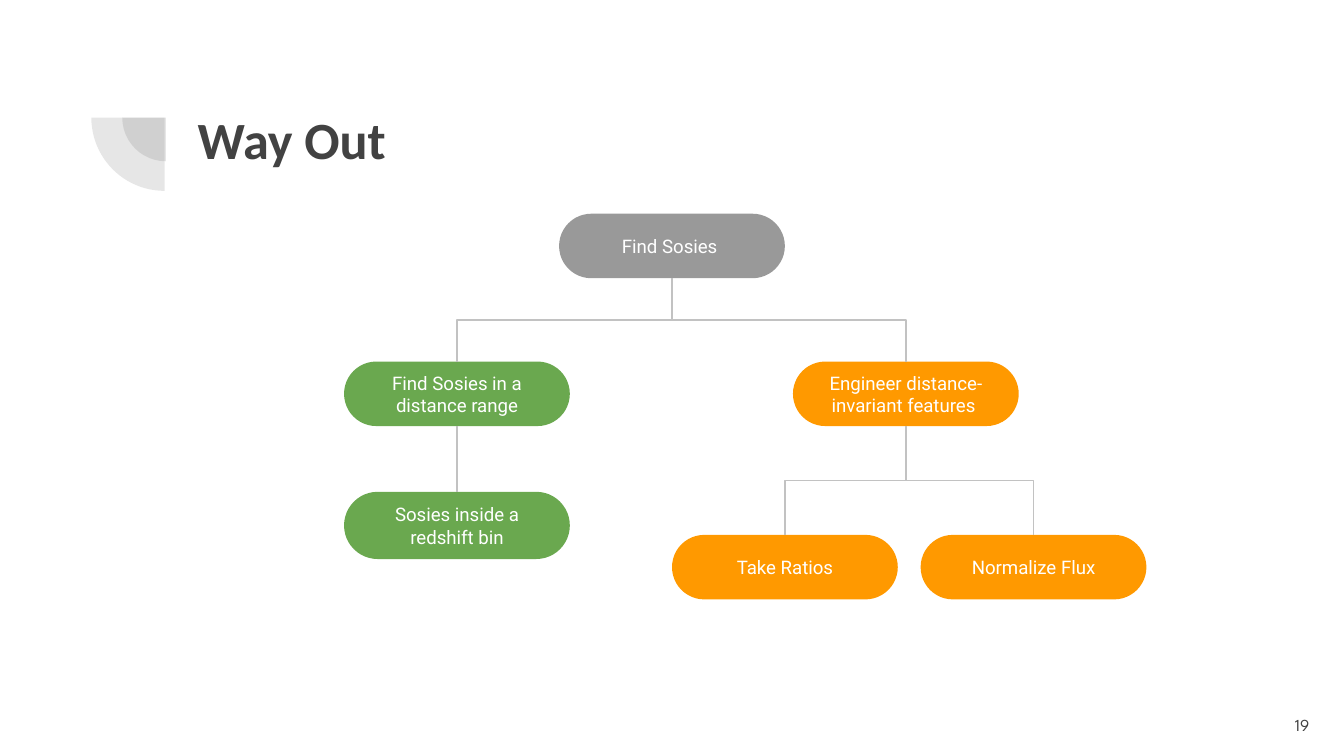
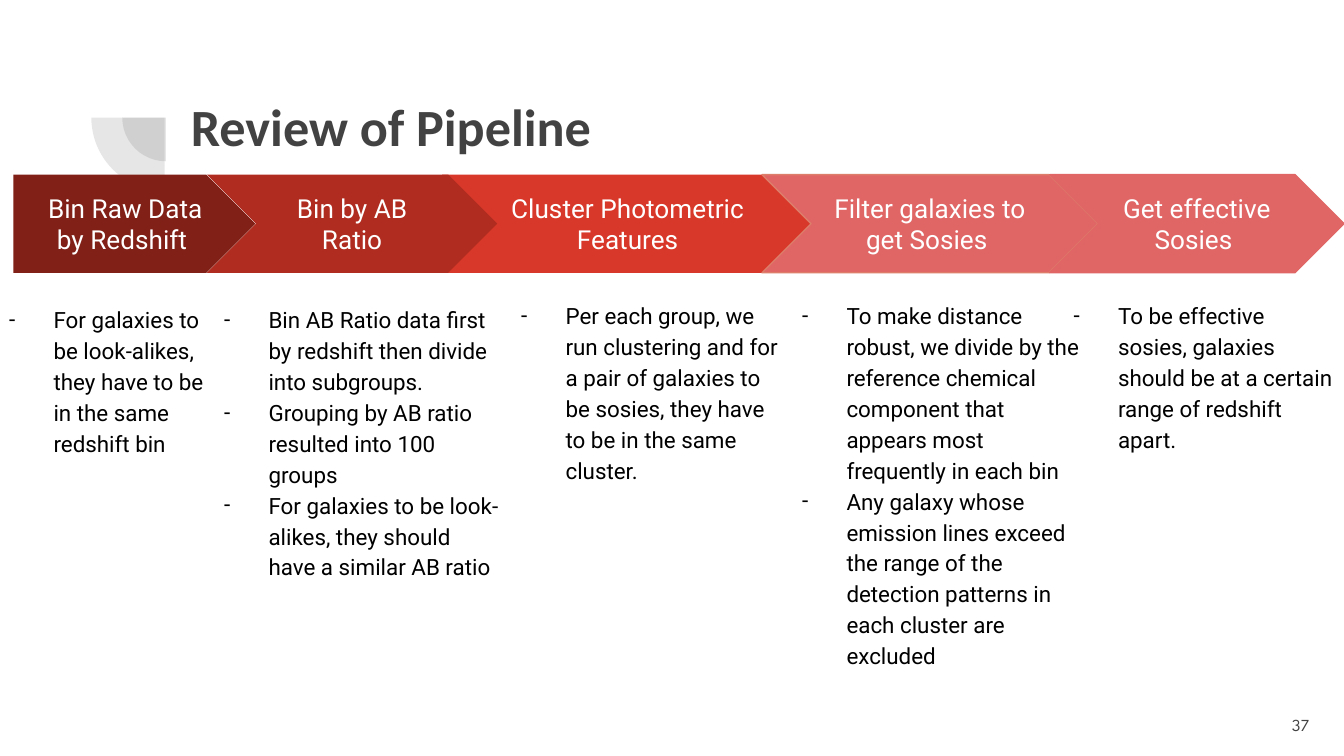
import dataclasses

import lxml.etree
import pptx
import pptx.dml.color
import pptx.enum.shapes
import pptx.enum.text
import pptx.oxml.ns
import pptx.util

Inches = pptx.util.Inches
Pt = pptx.util.Pt
SHAPE = pptx.enum.shapes.MSO_SHAPE
CONNECTOR = pptx.enum.shapes.MSO_CONNECTOR
ALIGN = pptx.enum.text.PP_ALIGN
ANCHOR = pptx.enum.text.MSO_ANCHOR
qn = pptx.oxml.ns.qn

DARK = "424242"
WHITE = "FFFFFF"
BLACK = "000000"
GRAY = "999999"
GREEN = "6AA84F"
ORANGE = "FF9900"
CONNECTOR_GRAY = "C2C2C2"
TITLE_FONT = "Calibri"
TEXT_FONT = "Roboto"
NUMBER_FONT = "League Spartan"

NODE_W = 1.68
NODE_H = 0.48
ARROW_TOP = 1.3
ARROW_H = 0.73


@dataclasses.dataclass(frozen=True)
class Node:
    key: str
    text: str
    left: float
    top: float
    fill: str
    parent: str = ""
    height: float = NODE_H


@dataclasses.dataclass(frozen=True)
class Stage:
    heading: str
    left: float
    width: float
    fill: str
    list_box: tuple[float, float, float, float]
    items: tuple[str, ...]
    line: str = ""
    shape: SHAPE = SHAPE.CHEVRON


NODES = [
    Node("sosies", "Find Sosies ", 4.16, 1.59, GRAY),
    Node("range", "Find Sosies in a distance range", 2.56, 2.69, GREEN, "sosies"),
    Node("engineer", "Engineer distance-invariant features ", 5.9, 2.69, ORANGE, "sosies"),
    Node("ratios", "Take Ratios", 5, 3.98, ORANGE, "engineer"),
    Node("flux", "Normalize Flux", 6.85, 3.98, ORANGE, "engineer"),
    Node("bin", "Sosies inside a redshift bin", 2.56, 3.66, GREEN, "range", 0.5),
]

STAGES = [
    Stage("Cluster Photometric Features", 3.29, 2.76, "D83829", (3.61, 2.12, 2.31, 2.86),
          ("Per each group, we run clustering and for a pair of galaxies to be sosies, "
           "they have to be in the same cluster.",)),
    Stage(" Bin Raw Data by Redshift", 0.1, 1.8, "802017", (-0.2, 2.15, 1.98, 2.86),
          ("For galaxies to be look-alikes, they have to be in the same redshift bin",),
          shape=SHAPE.PENTAGON),
    Stage("Bin by AB Ratio", 1.54, 2.16, "B02C20", (1.4, 2.15, 2.43, 2.86),
          ("Bin AB Ratio data first by redshift then divide into subgroups.",
           "Grouping by AB ratio resulted into 100 groups",
           "For galaxies to be look-alikes, they should have a similar AB ratio")),
    Stage("Filter galaxies to get Sosies ", 5.67, 2.5, "E06666", (5.7, 2.12, 2.45, 3.48),
          ("To make distance robust, we divide by the reference chemical component "
           "that appears most frequently in each bin",
           "Any galaxy whose emission lines exceed the range of the detection patterns "
           "in each cluster are excluded"), "DD7E6B"),
    Stage("Get effective Sosies ", 7.81, 2.19, "E06666", (7.72, 2.12, 2.31, 2.86),
          ("To be effective sosies, galaxies should be at a certain range of redshift apart.",),
          "E06666"),
]


def rgb(color: str) -> pptx.dml.color.RGBColor:
    return pptx.dml.color.RGBColor.from_string(color)


def format_frame(tf, anchor) -> None:
    tf.word_wrap = True
    tf.auto_size = pptx.enum.text.MSO_AUTO_SIZE.NONE
    tf.vertical_anchor = anchor
    tf.margin_left = tf.margin_right = tf.margin_top = tf.margin_bottom = Inches(0.1)


def add_run(p, text: str, size: float, font: str, color: str, bold: bool = False) -> None:
    r = p.add_run()
    r.text = text
    r.font.size = Pt(size)
    r.font.name = font
    r.font.bold = bold
    r.font.color.rgb = rgb(color)


def add_filled(slide, kind, left: float, top: float, width: float, height: float,
               fill: str, line: str = ""):
    sp = slide.shapes.add_shape(kind, Inches(left), Inches(top), Inches(width), Inches(height))
    sp.shadow.inherit = False
    sp.fill.solid()
    sp.fill.fore_color.rgb = rgb(fill)
    if line:
        sp.line.color.rgb = rgb(line)
        sp.line.width = Pt(0.75)
    else:
        sp.line.fill.background()
    return sp


def add_label(sp, text: str, size: float) -> None:
    format_frame(sp.text_frame, ANCHOR.MIDDLE)
    p = sp.text_frame.paragraphs[0]
    p.alignment = ALIGN.CENTER
    add_run(p, text, size, TEXT_FONT, WHITE)


def add_quarter(slide, left: float, top: float, size: float) -> None:
    sp = add_filled(slide, SHAPE.PIE, left, top, size, size, DARK)
    sp.adjustments[0] = 108
    sp.adjustments[1] = 162
    sp.rotation = 270
    color = sp._element.spPr.find(qn("a:solidFill")).find(qn("a:srgbClr"))
    lxml.etree.SubElement(color, qn("a:alpha")).set("val", "13000")


def add_base(prs, title: str, left: float, top: float, number: str):
    slide = prs.slides.add_slide(prs.slide_layouts[5])
    add_quarter(slide, 0.91, 0.55, 0.65)
    add_quarter(slide, 0.68, 0.33, 1.09)
    sp = slide.shapes.title
    sp.left, sp.top, sp.width, sp.height = Inches(left), Inches(top), Inches(7.69), Inches(1.09)
    format_frame(sp.text_frame, ANCHOR.TOP)
    p = sp.text_frame.paragraphs[0]
    p.alignment = ALIGN.LEFT
    add_run(p, title, 28, TITLE_FONT, DARK, True)
    sp = slide.shapes.add_textbox(Inches(9.24), Inches(5.18), Inches(0.6), Inches(0.43))
    format_frame(sp.text_frame, ANCHOR.MIDDLE)
    p = sp.text_frame.paragraphs[0]
    p.alignment = ALIGN.RIGHT
    add_run(p, number, 9, NUMBER_FONT, DARK)
    return slide


def add_branch(slide, parent, child) -> None:
    x1, y1 = parent.left + parent.width // 2, parent.top + parent.height
    x2, y2 = child.left + child.width // 2, child.top
    straight = x1 == x2
    kind = CONNECTOR.STRAIGHT if straight else CONNECTOR.ELBOW
    c = slide.shapes.add_connector(kind, x1, y1, x2, y2)
    c.begin_connect(parent, 2)
    c.end_connect(child, 0)
    c.line.color.rgb = rgb(CONNECTOR_GRAY)
    c.line.width = Pt(0.75)
    lxml.etree.SubElement(c._element.spPr, qn("a:effectLst"))
    if straight:
        return
    run, drop = abs(x2 - x1), y2 - y1
    c.left, c.top = (x1 + x2 - drop) // 2, (y1 + y2 - run) // 2
    c.width, c.height = drop, run
    xfrm = c._element.spPr.find(qn("a:xfrm"))
    xfrm.set("rot", "5400000" if x2 < x1 else "16200000")
    xfrm.set("flipH", "0" if x2 < x1 else "1")
    xfrm.set("flipV", "0")


def add_list(slide, box: tuple[float, float, float, float], items: tuple[str, ...]) -> None:
    sp = slide.shapes.add_textbox(*(Inches(v) for v in box))
    tf = sp.text_frame
    format_frame(tf, ANCHOR.TOP)
    for i, item in enumerate(items):
        p = tf.paragraphs[0] if i == 0 else tf.add_paragraph()
        p.line_spacing = 1.15
        pPr = p._p.get_or_add_pPr()
        pPr.set("marL", str(Inches(0.5)))
        pPr.set("indent", str(Inches(-0.33)))
        color = lxml.etree.SubElement(pPr, qn("a:buClr"))
        lxml.etree.SubElement(color, qn("a:srgbClr")).set("val", BLACK)
        lxml.etree.SubElement(pPr, qn("a:buFont")).set("typeface", TEXT_FONT)
        lxml.etree.SubElement(pPr, qn("a:buChar")).set("char", "-")
        add_run(p, item, 12, TEXT_FONT, BLACK)


def build_way_out(prs) -> None:
    slide = add_base(prs, "Way Out", 1.37, 0.7, "19")
    boxes = {}
    for node in NODES:
        sp = add_filled(slide, SHAPE.ROUNDED_RECTANGLE, node.left, node.top,
                        NODE_W, node.height, node.fill)
        sp.adjustments[0] = 0.5
        add_label(sp, node.text, 10)
        boxes[node.key] = sp
    for node in NODES:
        if node.parent:
            add_branch(slide, boxes[node.parent], boxes[node.key])


def build_pipeline(prs) -> None:
    slide = add_base(prs, "Review of Pipeline", 1.32, 0.6, "37")
    for stage in STAGES:
        sp = add_filled(slide, stage.shape, stage.left, ARROW_TOP, stage.width, ARROW_H,
                        stage.fill, stage.line)
        add_label(sp, stage.heading, 14)
        add_list(slide, stage.list_box, stage.items)


def main() -> None:
    prs = pptx.Presentation()
    prs.slide_width = Inches(10)
    prs.slide_height = prs.slide_width * 9 // 16
    build_way_out(prs)
    build_pipeline(prs)
    prs.save("out.pptx")


if __name__ == "__main__":
    main()
